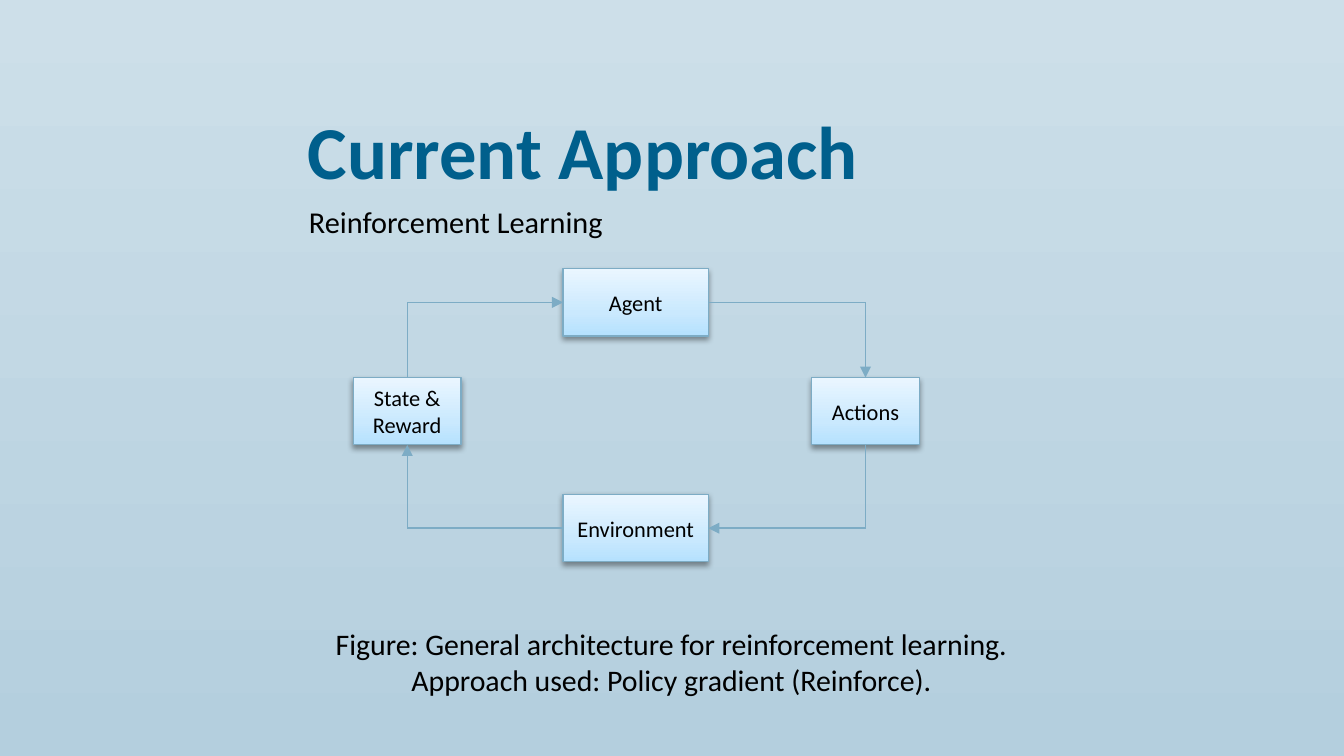
from dataclasses import dataclass

from pptx import Presentation
from pptx.dml.color import RGBColor
from pptx.enum.shapes import MSO_CONNECTOR, MSO_SHAPE
from pptx.enum.text import MSO_ANCHOR as Anchor, MSO_AUTO_SIZE as AutoSize, PP_ALIGN as Align
from pptx.oxml import parse_xml
from pptx.oxml.ns import nsdecls, qn
from pptx.util import Inches, Pt


@dataclass(frozen=True)
class Theme:
    font: str = "Calibri"
    title: str = "005F8C"
    ink: str = "000000"
    edge: str = "7DACC5"
    backdrop: tuple = ((0, "CDDFE9"), (1, "B4CFDE"))
    node: tuple = ((0, "B5E1FE"), (0.35, "CAE9FE"), (1, "EAF6FF"))
    title_size: float = 40
    subtitle_size: float = 16.2
    caption_size: float = 16
    node_size: float = 12
    edge_width: float = 0.75


@dataclass(frozen=True)
class Node:
    label: str
    col: int
    row: int
    width: float


@dataclass(frozen=True)
class Link:
    source: str
    source_side: int
    target: str
    target_side: int


@dataclass(frozen=True)
class Heading:
    text: str
    left: float
    top: float
    size: float
    color: str
    bold: bool = False


THEME = Theme()
TOP, LEFT, BOTTOM, RIGHT = range(4)
COLUMNS = (3.03, 4.73, 6.44)
ROWS = (2.25, 3.06, 3.93)
NODE_HEIGHT = 0.5

NODES = (
    Node("State & Reward", 0, 1, 0.8),
    Node("Actions", 2, 1, 0.8),
    Node("Environment", 1, 2, 1.08),
    Node("Agent", 1, 0, 1.08),
)
LINKS = (
    Link("State & Reward", TOP, "Agent", LEFT),
    Link("Agent", RIGHT, "Actions", TOP),
    Link("Actions", BOTTOM, "Environment", RIGHT),
    Link("Environment", LEFT, "State & Reward", BOTTOM),
)
HEADINGS = (
    Heading("Reinforcement Learning", 2.2, 1.46, THEME.subtitle_size, THEME.ink),
    Heading("Current Approach", 2.19, 0.73, THEME.title_size, THEME.title, True),
)
CAPTION = (
    ("Figure: General architecture for reinforcement learning.", Align.LEFT),
    ("Approach used: Policy gradient (Reinforce).", Align.CENTER),
)


def style(paragraph, size: float, color: str, bold: bool = False) -> None:
    font = paragraph.font
    font.name, font.size, font.bold = THEME.font, Pt(size), bold
    font.color.rgb = RGBColor.from_string(color)


def paint_gradient(fill, stops: tuple, angle: float) -> None:
    fill.gradient()
    fill.gradient_angle = angle
    for stop, (position, color) in zip(fill.gradient_stops, (stops[0], stops[-1])):
        stop.position = position
        stop.color.rgb = RGBColor.from_string(color)


def add_inner_stops(gradient, stops: tuple) -> None:
    for index, (position, color) in enumerate(stops[1:-1], 1):
        gradient.find(qn("a:gsLst")).insert(index, parse_xml(
            f'<a:gs {nsdecls("a")} pos="{round(position * 100000)}">'
            f'<a:srgbClr val="{color}"/></a:gs>'))


def add_soft_shadow(shape) -> None:
    shape.shadow.inherit = False
    shape._element.spPr.find(qn("a:effectLst")).append(parse_xml(
        f'<a:outerShdw {nsdecls("a")} blurRad="{Pt(3.1)}" dist="{Pt(1.6)}" '
        'dir="5400000" rotWithShape="0"><a:srgbClr val="000000">'
        '<a:alpha val="38000"/></a:srgbClr></a:outerShdw>'))


def draw_node(slide, node: Node):
    box = slide.shapes.add_shape(
        MSO_SHAPE.RECTANGLE,
        Inches(COLUMNS[node.col] - node.width / 2),
        Inches(ROWS[node.row] - NODE_HEIGHT / 2),
        Inches(node.width), Inches(NODE_HEIGHT))
    paint_gradient(box.fill, THEME.node, 90)
    add_inner_stops(box._element.spPr.find(qn("a:gradFill")), THEME.node)
    box.line.color.rgb = RGBColor.from_string(THEME.edge)
    box.line.width = Pt(THEME.edge_width)
    add_soft_shadow(box)
    frame = box.text_frame
    frame.word_wrap = True
    frame.vertical_anchor = Anchor.MIDDLE
    frame.margin_left = frame.margin_right = Inches(0.08)
    label = frame.paragraphs[0]
    label.text, label.alignment = node.label, Align.CENTER
    style(label, THEME.node_size, THEME.ink)
    return box


def draw_leg(slide, start: tuple, end: tuple, arrow: bool):
    leg = slide.shapes.add_connector(
        MSO_CONNECTOR.STRAIGHT, *(Inches(v) for v in (*start, *end)))
    leg.line.color.rgb = RGBColor.from_string(THEME.edge)
    leg.line.width = Pt(THEME.edge_width)
    if arrow:
        leg.line._get_or_add_ln().append(
            parse_xml(f'<a:tailEnd {nsdecls("a")} type="triangle"/>'))
    leg._element.spPr.append(parse_xml(f'<a:effectLst {nsdecls("a")}/>'))
    return leg


def draw_link(slide, link: Link, nodes: dict, boxes: dict) -> None:
    source, target = nodes[link.source], nodes[link.target]
    sideways = link.source_side in (LEFT, RIGHT)
    column, row = (target.col, source.row) if sideways else (source.col, target.row)
    corner = COLUMNS[column], ROWS[row]
    first = draw_leg(slide, (COLUMNS[source.col], ROWS[source.row]), corner, False)
    first.begin_connect(boxes[link.source], link.source_side)
    last = draw_leg(slide, corner, (COLUMNS[target.col], ROWS[target.row]), True)
    last.end_connect(boxes[link.target], link.target_side)


def draw_heading(slide, heading: Heading) -> None:
    frame = slide.shapes.add_textbox(
        Inches(heading.left), Inches(heading.top), Inches(7.31), Inches(0.93)).text_frame
    frame.word_wrap = True
    line = frame.paragraphs[0]
    line.text = heading.text
    style(line, heading.size, heading.color, heading.bold)


def draw_caption(slide) -> None:
    frame = slide.shapes.add_textbox(
        Inches(2.4), Inches(4.61), Inches(5.26), Inches(0.64)).text_frame
    frame.word_wrap = False
    frame.auto_size = AutoSize.SHAPE_TO_FIT_TEXT
    for index, (text, alignment) in enumerate(CAPTION):
        line = frame.add_paragraph() if index else frame.paragraphs[0]
        line.text, line.alignment = text, alignment
        style(line, THEME.caption_size, THEME.ink)


def main() -> None:
    deck = Presentation()
    deck.slide_width = Inches(10)
    deck.slide_height = deck.slide_width * 9 // 16
    slide = deck.slides.add_slide(deck.slide_layouts[6])
    paint_gradient(slide.background.fill, THEME.backdrop, 270)
    nodes = {node.label: node for node in NODES}
    boxes = {node.label: draw_node(slide, node) for node in NODES}
    for link in LINKS:
        draw_link(slide, link, nodes, boxes)
    draw_caption(slide)
    for heading in HEADINGS:
        draw_heading(slide, heading)
    deck.save("out.pptx")


if __name__ == "__main__":
    main()
